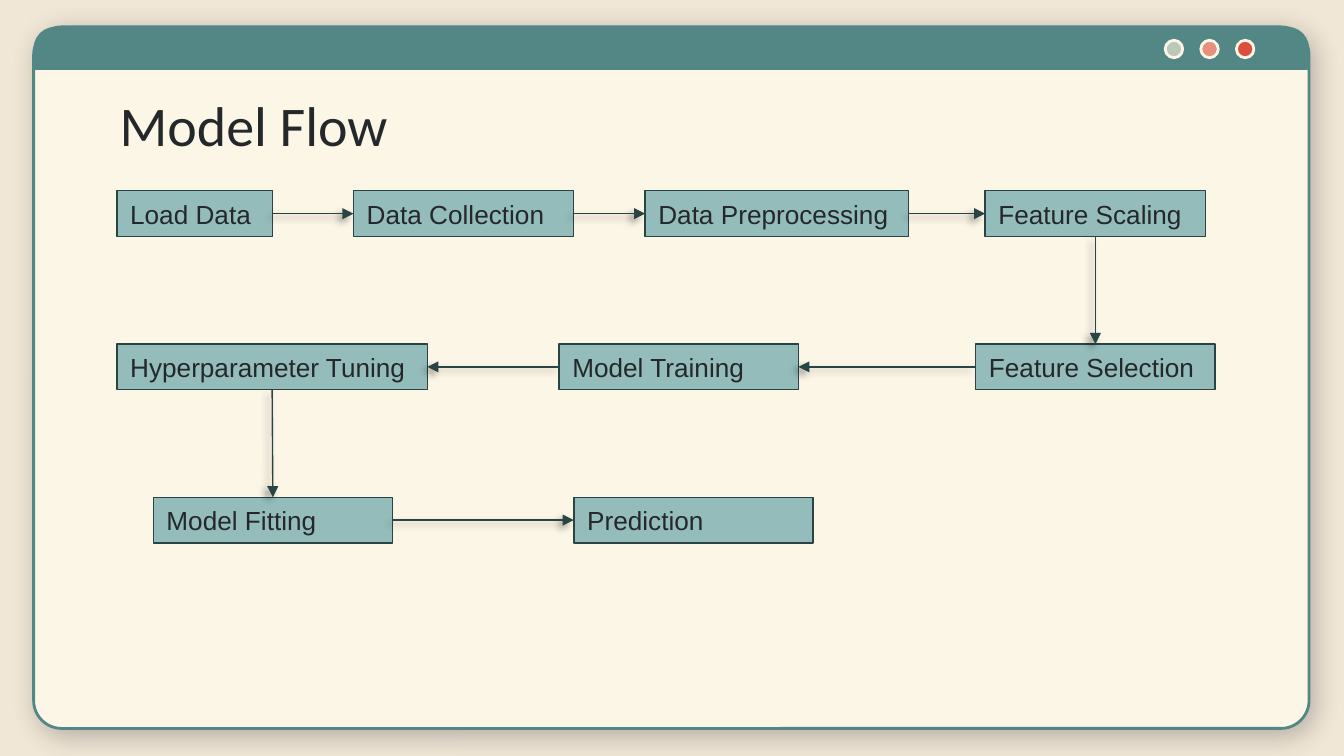
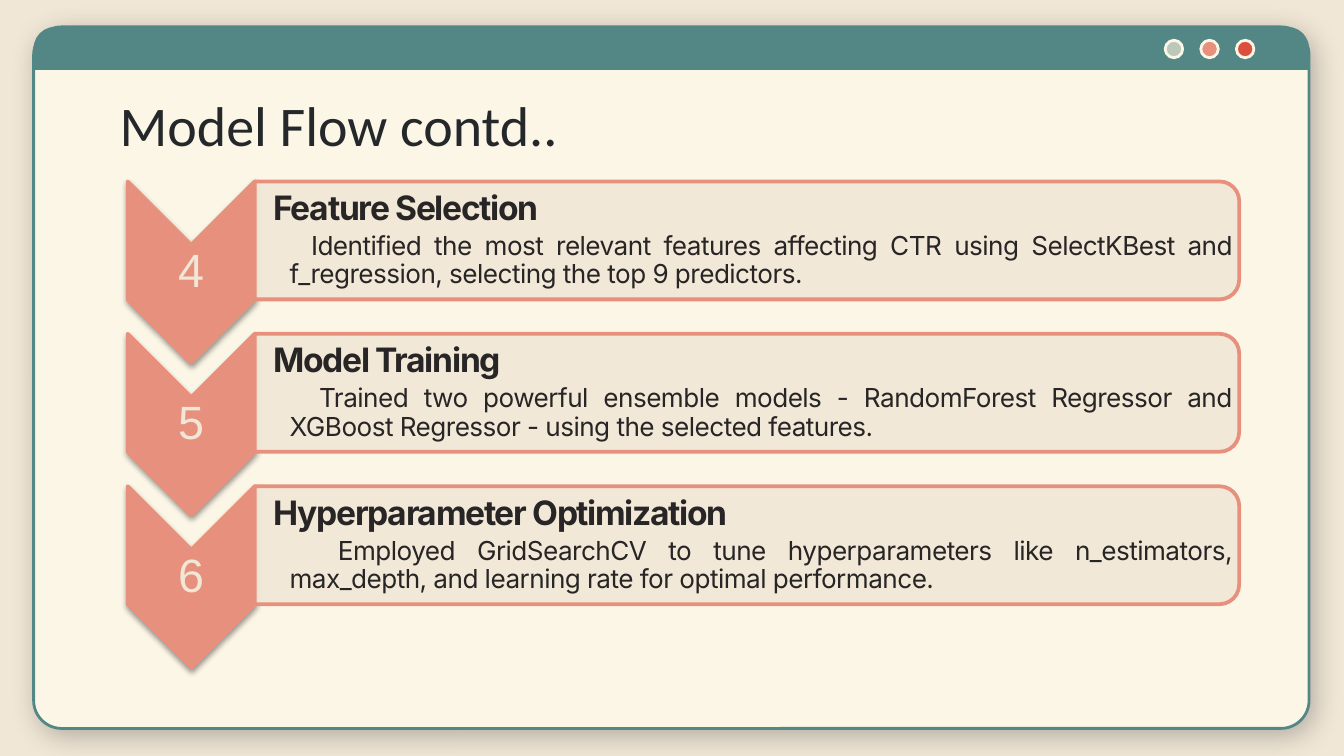
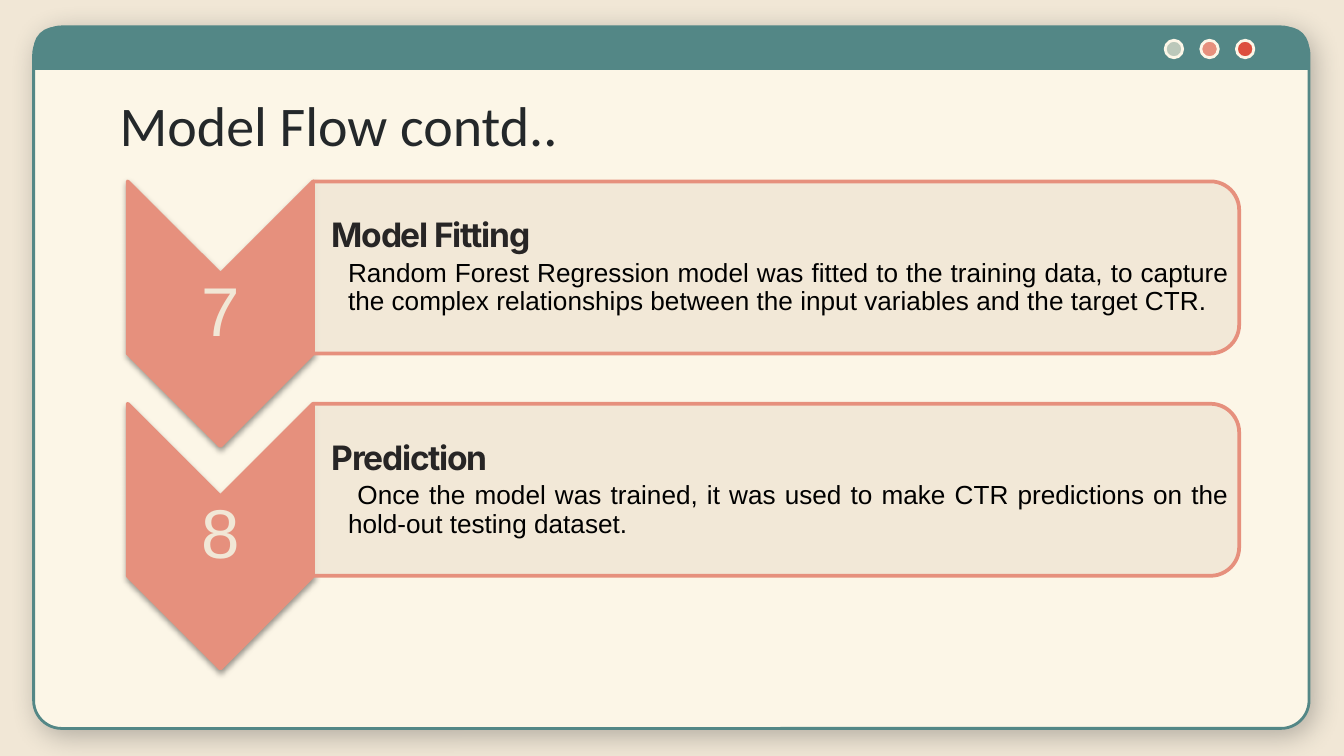
"""Builds three model-flow slides inside a window-style frame."""
from dataclasses import dataclass
from itertools import pairwise

import lxml.etree
import pptx
import pptx.dml.color
import pptx.enum.shapes
import pptx.enum.text
import pptx.oxml.ns
import pptx.presentation
import pptx.shapes.autoshape
import pptx.shapes.base
import pptx.slide
import pptx.text.text
import pptx.util

RGBColor = pptx.dml.color.RGBColor
Shape = pptx.enum.shapes.MSO_SHAPE
Align = pptx.enum.text.PP_ALIGN
Anchor = pptx.enum.text.MSO_ANCHOR
AutoSize = pptx.enum.text.MSO_AUTO_SIZE
qn = pptx.oxml.ns.qn

SAND = RGBColor(0xF1, 0xE7, 0xD6)
CREAM = RGBColor(0xFC, 0xF6, 0xE7)
TEAL = RGBColor(0x53, 0x87, 0x86)
PALE_TEAL = RGBColor(0x93, 0xBC, 0xBB)
DARK_TEAL = RGBColor(0x2A, 0x44, 0x43)
SAGE = RGBColor(0xBB, 0xC8, 0xBA)
CORAL = RGBColor(0xE6, 0x90, 0x7D)
RED = RGBColor(0xDD, 0x4F, 0x3D)
INK = RGBColor(0x24, 0x28, 0x2A)
CHARCOAL = RGBColor(0x27, 0x25, 0x25)
BLACK = RGBColor(0, 0, 0)

SLIDE_WIDTH = pptx.util.Inches(10)
SLIDE_HEIGHT = pptx.util.Inches(5.625)
COLUMNS = 100
SITE_TOP, SITE_LEFT, SITE_BOTTOM, SITE_RIGHT = range(4)


@dataclass(frozen=True)
class Area:
    """Place on the grid of square cells, 100 to the slide's width."""
    left: float
    top: float
    width: float
    height: float

    def lengths(self) -> list[int]:
        """Return left, top, width and height in EMU."""
        return [grid(value) for value in (self.left, self.top, self.width, self.height)]

    def turned(self) -> "Area":
        """Return the unrotated frame that fills this area after a quarter turn."""
        shift = (self.width - self.height) / 2
        return Area(self.left + shift, self.top - shift, self.height, self.width)


@dataclass(frozen=True)
class Shadow:
    """Outer shadow with lengths in points."""
    color: RGBColor
    opacity: int
    blur: float
    distance: float
    angle: int


@dataclass(frozen=True)
class FlowBox:
    """Labelled box of the flow chart."""
    label: str
    row: int
    left: float
    width: float


@dataclass(frozen=True)
class BodyStyle:
    """Font of the step descriptions."""
    font: str
    color: RGBColor
    spacing: float


@dataclass(frozen=True)
class Step:
    """Numbered step with its first-line indent in grid columns."""
    heading: str
    body: str
    indent: float


@dataclass(frozen=True)
class StepList:
    """Numbered steps of one slide."""
    first_number: int
    number_size: int
    chevron_height: float
    body_style: BodyStyle
    steps: tuple[Step, ...]


WINDOW_SHADOW = Shadow(INK, 30, 14.6, 3.8, 50)
ARROW_SHADOW = Shadow(BLACK, 40, 4, 3, 135)
CHEVRON_SHADOW = Shadow(BLACK, 38, 3.1, 1.6, 90)

FLOW_TOP, FLOW_PITCH, FLOW_HEIGHT = 14.2, 11.4, 3.4
FLOW = (
    FlowBox("Load Data", 0, 8.7, 11.6),
    FlowBox("Data Collection", 0, 26.3, 16.4),
    FlowBox("Data Preprocessing", 0, 48, 19.6),
    FlowBox("Feature Scaling", 0, 73.3, 16.4),
    FlowBox("Feature Selection", 1, 72.6, 17.8),
    FlowBox("Model Training", 1, 41.6, 17.8),
    FlowBox("Hyperparameter Tuning", 1, 8.7, 23.1),
    FlowBox("Model Fitting", 2, 11.4, 17.8),
    FlowBox("Prediction", 2, 42.7, 17.8),
)

STEPS_LEFT, STEPS_RIGHT, STEPS_TOP = 9.5, 92.2, 13.5
STEP_LISTS = (
    StepList(4, 25, 13.5, BodyStyle("Inter", CHARCOAL, -0.3), (
        Step("Feature Selection",
             "Identified the most relevant features affecting CTR using SelectKBest and "
             "f_regression, selecting the top 9 predictors.", 1.6),
        Step("Model Training",
             "Trained two powerful ensemble models - RandomForest Regressor and XGBoost "
             "Regressor - using the selected features.", 2.2),
        Step("Hyperparameter Optimization",
             "Employed GridSearchCV to tune hyperparameters like n_estimators, max_depth, "
             "and learning rate for optimal performance.", 3.6),
    )),
    StepList(7, 37, 19.7, BodyStyle("Arial", BLACK, 0), (
        Step("Model Fitting",
             "Random Forest Regression model was fitted to the training data, to capture the "
             "complex relationships between the input variables and the target CTR.", 0),
        Step("Prediction",
             "Once the model was trained, it was used to make CTR predictions on the "
             "hold-out testing dataset.", 0.7),
    )),
)


def grid(cells: float) -> int:
    """Convert grid cells to EMU."""
    return round(cells * SLIDE_WIDTH / COLUMNS)


def set_shadow(shape: pptx.shapes.base.BaseShape, shadow: Shadow) -> None:
    """Give a shape or connector an outer shadow."""
    properties = shape.element.spPr
    effects = properties.find(qn("a:effectLst"))
    if effects is None:
        effects = lxml.etree.SubElement(properties, qn("a:effectLst"))
    outer = lxml.etree.SubElement(
        effects, qn("a:outerShdw"), blurRad=str(pptx.util.Pt(shadow.blur)),
        dist=str(pptx.util.Pt(shadow.distance)), dir=str(shadow.angle * 60000),
        algn="ctr", rotWithShape="0")
    color = lxml.etree.SubElement(outer, qn("a:srgbClr"), val=str(shadow.color))
    lxml.etree.SubElement(color, qn("a:alpha"), val=str(shadow.opacity * 1000))


def add_shape(slide: pptx.slide.Slide, kind: Shape, area: Area, fill: RGBColor,
              line: RGBColor | None = None,
              weight: float = 1.5) -> pptx.shapes.autoshape.Shape:
    """Add a filled shape without a shadow."""
    shape = slide.shapes.add_shape(kind, *area.lengths())
    shape.shadow.inherit = False
    shape.fill.solid()
    shape.fill.fore_color.rgb = fill
    if line is None:
        shape.line.fill.background()
    else:
        shape.line.color.rgb = line
        shape.line.width = pptx.util.Pt(weight)
    return shape


def write(paragraph: pptx.text.text._Paragraph, text: str, font: str, size: float,
          color: RGBColor, align: Align = Align.LEFT, bold: bool = False,
          spacing: float = 0) -> None:
    """Fill and format one paragraph."""
    paragraph.text = text
    paragraph.alignment = align
    paragraph.font.name = font
    paragraph.font.size = pptx.util.Pt(size)
    paragraph.font.color.rgb = color
    paragraph.font.bold = bold
    if spacing:
        paragraph._p.pPr.find(qn("a:defRPr")).set("spc", str(round(spacing * 100)))


def add_text_frame(slide: pptx.slide.Slide, area: Area, left_inset: float,
                   inset: float) -> pptx.text.text.TextFrame:
    """Add a wrapped, vertically centred text box."""
    frame = slide.shapes.add_textbox(*area.lengths()).text_frame
    frame.word_wrap = True
    frame.vertical_anchor = Anchor.MIDDLE
    frame.margin_left = grid(left_inset)
    frame.margin_top = frame.margin_right = frame.margin_bottom = grid(inset)
    return frame


def add_window(slide: pptx.slide.Slide) -> None:
    """Draw the window frame and move it to the slide's layout."""
    body = add_shape(slide, Shape.ROUNDED_RECTANGLE, Area(2.5, 2, 94.9, 52.2), CREAM, TEAL)
    body.adjustments[0] = 0.04
    set_shadow(body, WINDOW_SHADOW)
    band = add_shape(slide, Shape.ROUND_2_SAME_RECTANGLE, Area(2.5, 2, 94.9, 3.2), TEAL)
    band.adjustments[0] = 0.5
    dots = [add_shape(slide, Shape.OVAL, Area(86.7 + 2.65 * index, 3, 1.3, 1.3), color, CREAM)
            for index, color in enumerate((SAGE, CORAL, RED))]
    layout = slide.slide_layout
    for placeholder in list(layout.placeholders)[1:]:
        layout.shapes.element.remove(placeholder.element)
    for shape in (body, band, *dots):
        layout.shapes.element.append(shape.element)


def add_titled_slide(presentation: pptx.presentation.Presentation,
                     title: str) -> pptx.slide.Slide:
    """Add a title-only slide with the shared title style."""
    slide = presentation.slides.add_slide(presentation.slide_layouts[5])
    placeholder = slide.shapes.title
    (placeholder.left, placeholder.top,
     placeholder.width, placeholder.height) = Area(7.9, 5.7, 84.3, 6.3).lengths()
    frame = placeholder.text_frame
    frame.auto_size = AutoSize.NONE
    frame.vertical_anchor = Anchor.TOP
    frame.margin_left = frame.margin_top = frame.margin_right = frame.margin_bottom = grid(1)
    write(frame.paragraphs[0], title, "Calibri", 30, INK)
    return slide


def add_flow_box(slide: pptx.slide.Slide, box: FlowBox) -> pptx.shapes.autoshape.Shape:
    """Add one labelled box of the flow chart."""
    area = Area(box.left, FLOW_TOP + box.row * FLOW_PITCH, box.width, FLOW_HEIGHT)
    shape = add_shape(slide, Shape.RECTANGLE, area, PALE_TEAL, DARK_TEAL, 0.75)
    shape.text_frame.word_wrap = True
    shape.text_frame.auto_size = AutoSize.SHAPE_TO_FIT_TEXT
    write(shape.text_frame.paragraphs[0], box.label, "Arial", 14, INK)
    return shape


def add_arrow(slide: pptx.slide.Slide, source: pptx.shapes.autoshape.Shape,
              target: pptx.shapes.autoshape.Shape) -> None:
    """Join two boxes along their row, or downwards between rows."""
    if source.top != target.top:
        sites = SITE_BOTTOM, SITE_TOP
    elif source.left < target.left:
        sites = SITE_RIGHT, SITE_LEFT
    else:
        sites = SITE_LEFT, SITE_RIGHT
    arrow = slide.shapes.add_connector(pptx.enum.shapes.MSO_CONNECTOR.STRAIGHT, 0, 0, 0, 0)
    arrow.begin_connect(source, sites[0])
    arrow.end_connect(target, sites[1])
    arrow.line.color.rgb = DARK_TEAL
    arrow.line.width = pptx.util.Pt(0.75)
    lxml.etree.SubElement(arrow.element.spPr.find(qn("a:ln")), qn("a:tailEnd"), type="triangle")
    set_shadow(arrow, ARROW_SHADOW)


def add_step(slide: pptx.slide.Slide, step_list: StepList, index: int) -> None:
    """Add a numbered chevron and its card."""
    step, style = step_list.steps[index], step_list.body_style
    height = step_list.chevron_height
    width = 0.7 * height
    top = STEPS_TOP + index * 0.84 * height

    chevron = add_shape(slide, Shape.CHEVRON, Area(STEPS_LEFT, top, width, height).turned(),
                        CORAL, CORAL, 2)
    chevron.rotation = 90
    set_shadow(chevron, CHEVRON_SHADOW)
    number_area = Area(STEPS_LEFT, top + 0.35 * height, width, 0.3 * height)
    number = add_text_frame(slide, number_area, 0.2, 0.2).paragraphs[0]
    write(number, str(step_list.first_number + index), "Arial", step_list.number_size, SAND,
          Align.CENTER)
    number.line_spacing = 0.9

    card_left = STEPS_LEFT + width
    card_area = Area(card_left, top, STEPS_RIGHT - card_left, 0.65 * height)
    card = add_shape(slide, Shape.ROUND_2_SAME_RECTANGLE, card_area.turned(), SAND, CORAL, 2)
    card.rotation = 90
    fill_color = card.element.spPr.find(qn("a:solidFill")).find(qn("a:srgbClr"))
    lxml.etree.SubElement(fill_color, qn("a:alpha"), val="90000")

    corner = 0.05 * card_area.height
    text_area = Area(card_left, top + corner, card_area.width - corner,
                     card_area.height - 2 * corner)
    frame = add_text_frame(slide, text_area, 1.4, 0.1)
    heading, body = frame.paragraphs[0], frame.add_paragraph()
    write(heading, step.heading, "Inter", 18, CHARCOAL, bold=True, spacing=-0.7)
    write(body, step.body, style.font, 14, style.color, Align.JUSTIFY, spacing=style.spacing)
    for paragraph, space in ((heading, 2.7), (body, 2.1)):
        paragraph.line_spacing = 0.9
        paragraph.space_after = pptx.util.Pt(space)
    body._p.pPr.set("marL", str(grid(1.2)))
    body._p.pPr.set("indent", str(grid(step.indent)))


def main() -> None:
    """Build and save the presentation."""
    presentation = pptx.Presentation()
    presentation.slide_width = SLIDE_WIDTH
    presentation.slide_height = SLIDE_HEIGHT
    background = presentation.slide_master.background.fill
    background.solid()
    background.fore_color.rgb = SAND

    flow_slide = add_titled_slide(presentation, "Model Flow")
    add_window(flow_slide)
    boxes = [add_flow_box(flow_slide, box) for box in FLOW]
    for source, target in pairwise(boxes):
        add_arrow(flow_slide, source, target)

    for step_list in STEP_LISTS:
        step_slide = add_titled_slide(presentation, "Model Flow contd..")
        for index in range(len(step_list.steps)):
            add_step(step_slide, step_list, index)

    presentation.save("out.pptx")


if __name__ == "__main__":
    main()
